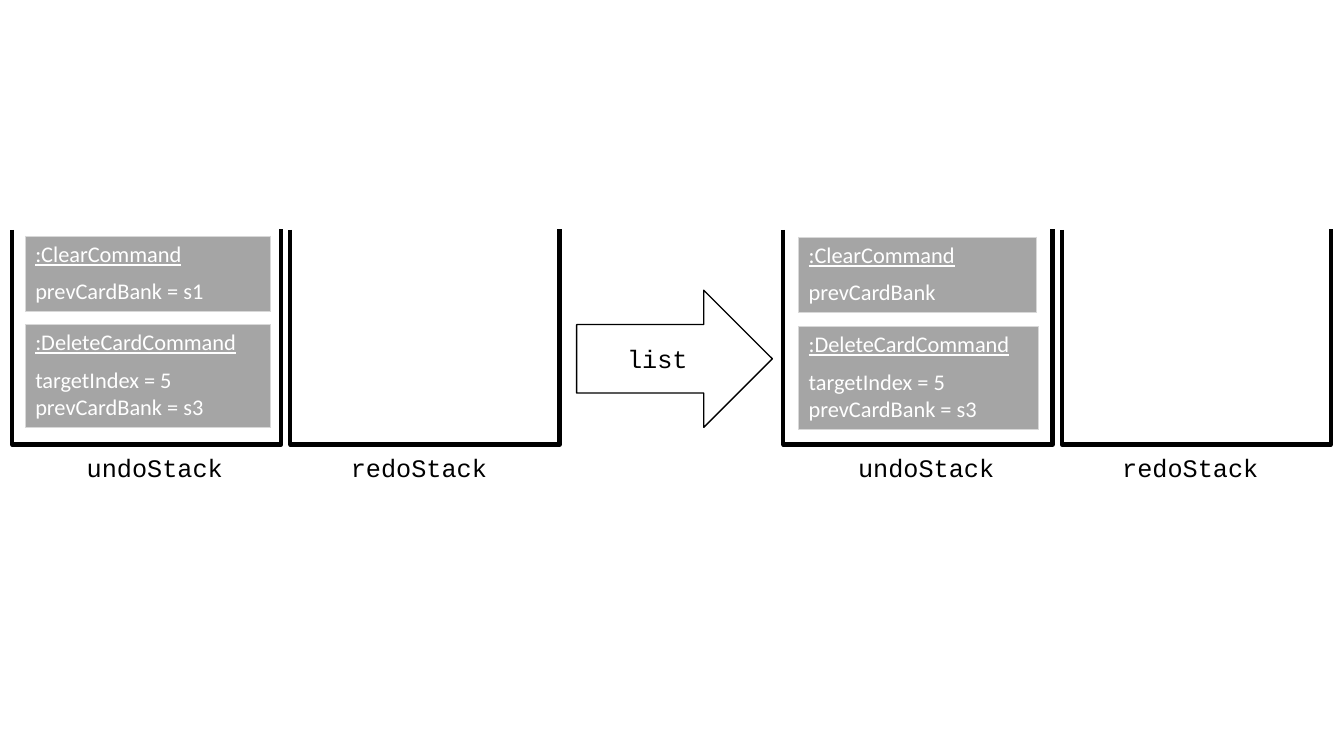
"""Draw the undo and redo stacks before and after a list command."""
from lxml.etree import SubElement
from pptx import Presentation
from pptx.dml.color import RGBColor
from pptx.enum.shapes import MSO_SHAPE
from pptx.enum.text import MSO_ANCHOR, MSO_AUTO_SIZE, PP_ALIGN
from pptx.oxml.ns import qn
from pptx.util import Pt

SCALE = 9144
BLACK = RGBColor(0x00, 0x00, 0x00)
WHITE = RGBColor(0xFF, 0xFF, 0xFF)
GRAY = RGBColor(0xA5, 0xA5, 0xA5)
EDGE = RGBColor(0xD8, 0xD8, 0xD8)

CLEAR = ":ClearCommand"
DELETE = ":DeleteCardCommand"
FIELDS = "targetIndex = 5\nprevCardBank = s3"


def px(*sizes):
    return [size * SCALE for size in sizes]


def style(frame, font, size, color, line=False):
    for para in frame.paragraphs:
        for run in para.runs:
            run.font.name = font
            run.font.size = Pt(size)
            run.font.color.rgb = color
            run.font.bold = False
            run.font.underline = line


def add_edges(cell, sides):
    props = cell._tc.get_or_add_tcPr()
    for spot, side in enumerate("LRTB"):
        line = SubElement(props, qn(f"a:ln{side}"), w=str(Pt(0.5)))
        if side in sides:
            fill = SubElement(line, qn("a:solidFill"))
            SubElement(fill, qn("a:srgbClr"), val=str(EDGE))
        else:
            SubElement(line, qn("a:noFill"))
        props.insert(spot, line)


def add_card(slide, left, top, width, title, body):
    heights = 36, 36 if body.count("\n") == 0 else 62
    frame = slide.shapes.add_table(2, 1, *px(left, top, width, sum(heights)))
    table = frame.table
    for row, text in enumerate((title, body)):
        table.rows[row].height = heights[row] * SCALE
        cell = table.cell(row, 0)
        cell.text_frame.text = text
        style(cell.text_frame, "Calibri", 16, WHITE, row == 0)
        cell.fill.solid()
        cell.fill.fore_color.rgb = GRAY
        add_edges(cell, "LRB" if row else "LRT")


def add_code(frame, text):
    frame.text = text
    frame.paragraphs[0].alignment = PP_ALIGN.CENTER
    style(frame, "Courier New", 18, BLACK)


def add_label(slide, left, text):
    box = slide.shapes.add_textbox(*px(left, 444, 251, 40))
    box.text_frame.word_wrap = True
    box.text_frame.auto_size = MSO_AUTO_SIZE.SHAPE_TO_FIT_TEXT
    add_code(box.text_frame, text)


def add_stack(slide, left):
    right = left + 267
    pen = slide.shapes.build_freeform(left, 228, scale=SCALE)
    pen.add_line_segments([(left, 441), (right, 441), (right, 227)], close=False)
    stack = pen.convert_to_shape()
    stack.shadow.inherit = False
    stack.fill.background()
    stack.line.color.rgb = BLACK
    stack.line.width = Pt(3)


def add_arrow(slide, text):
    arrow = slide.shapes.add_shape(MSO_SHAPE.RIGHT_ARROW, *px(572, 288, 194, 136))
    arrow.shadow.inherit = False
    arrow.fill.solid()
    arrow.fill.fore_color.rgb = WHITE
    arrow.line.color.rgb = BLACK
    arrow.line.width = Pt(1)
    arrow.text_frame.vertical_anchor = MSO_ANCHOR.MIDDLE
    add_code(arrow.text_frame, text)


def main():
    deck = Presentation()
    deck.slide_width, deck.slide_height = px(1333, 750)
    slide = deck.slides.add_slide(deck.slide_layouts[6])
    add_card(slide, 792, 235, 236, CLEAR, "prevCardBank")
    add_card(slide, 792, 324, 238, DELETE, FIELDS)
    add_card(slide, 25, 234, 243, CLEAR, "prevCardBank = s1")
    add_card(slide, 25, 322, 243, DELETE, FIELDS)
    add_arrow(slide, "list")
    for left in (12, 777):
        add_stack(slide, left)
        add_stack(slide, left + 276)
        add_label(slide, left + 16, "undoStack")
        add_label(slide, left + 278, "redoStack")
    deck.save("out.pptx")


if __name__ == "__main__":
    main()
